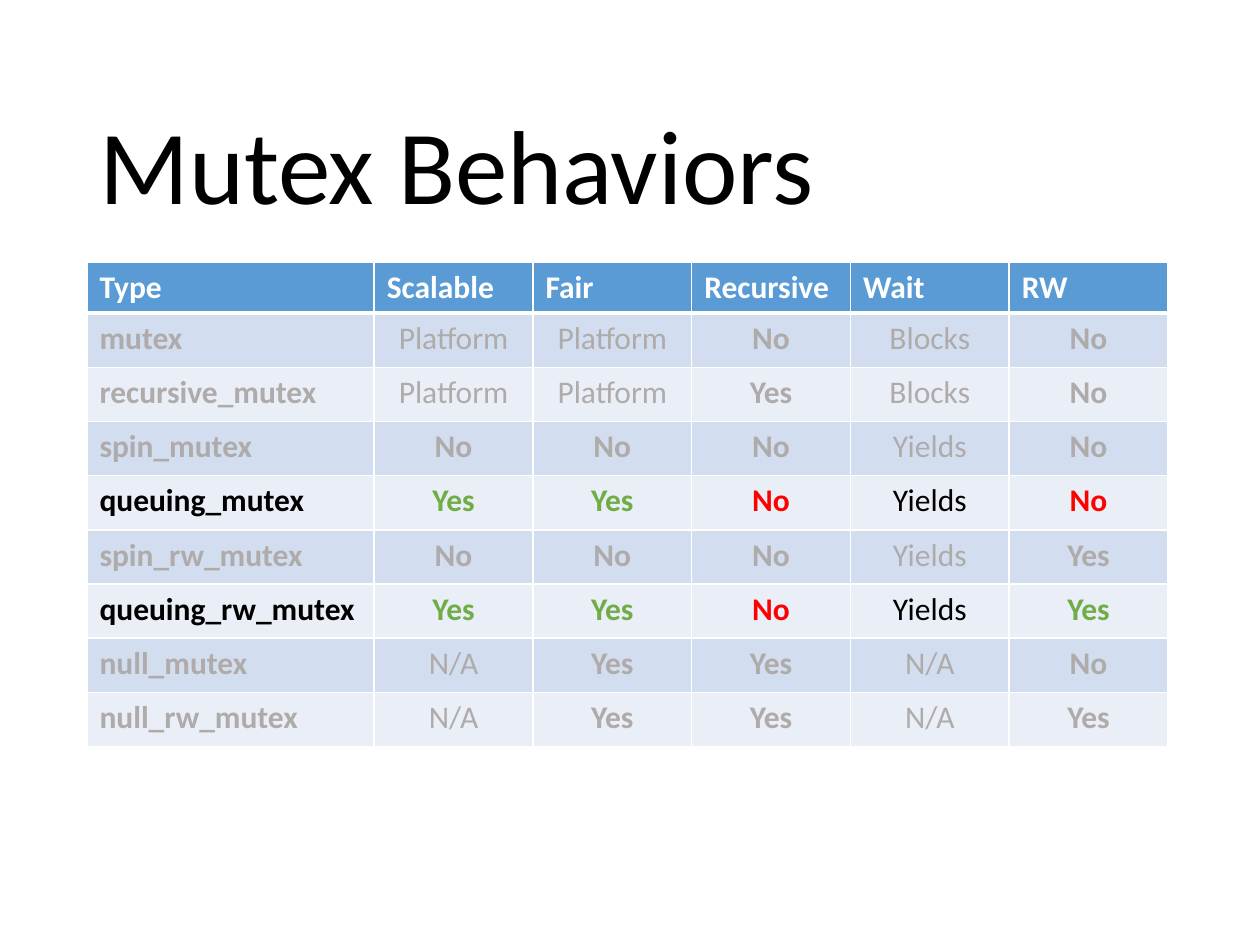
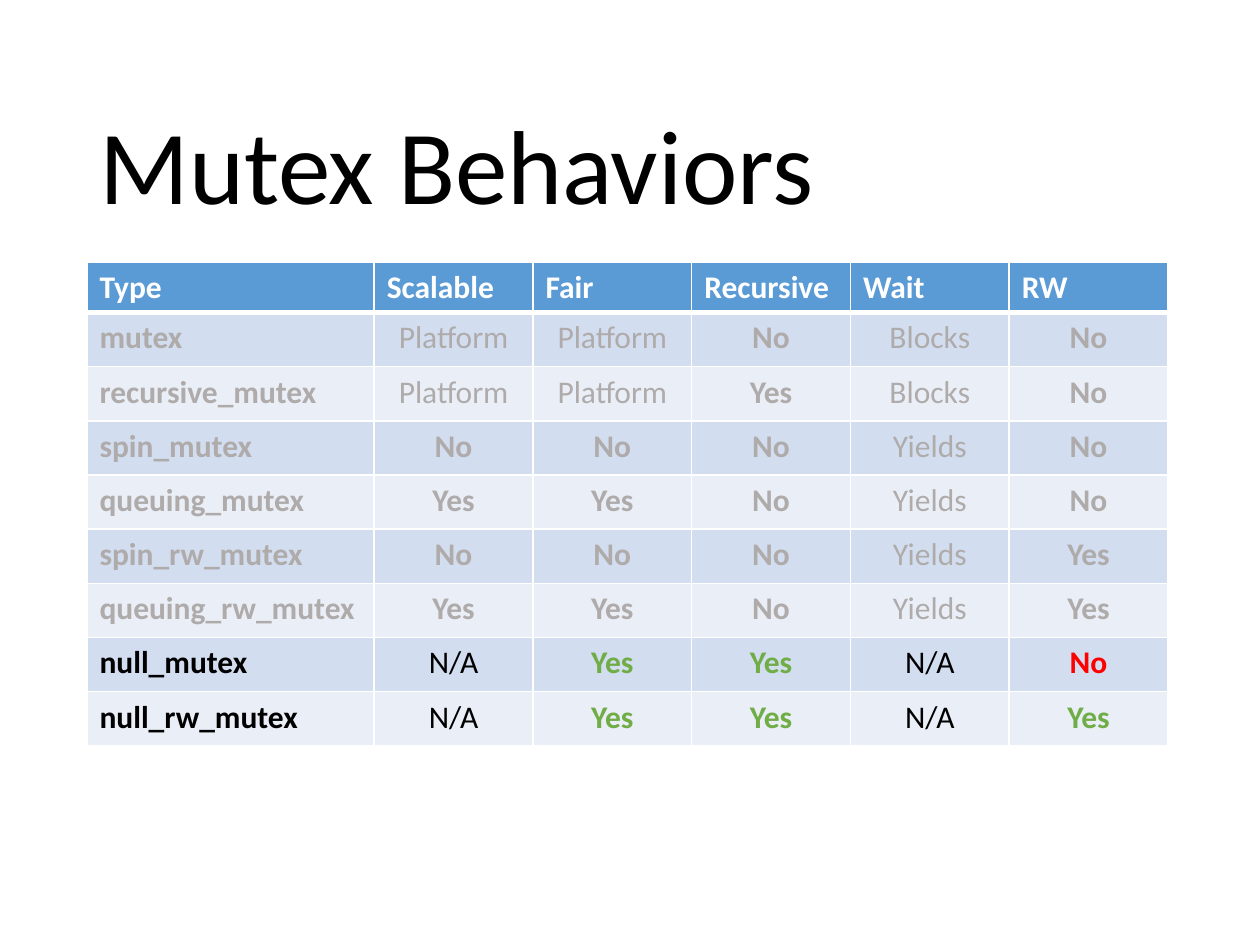
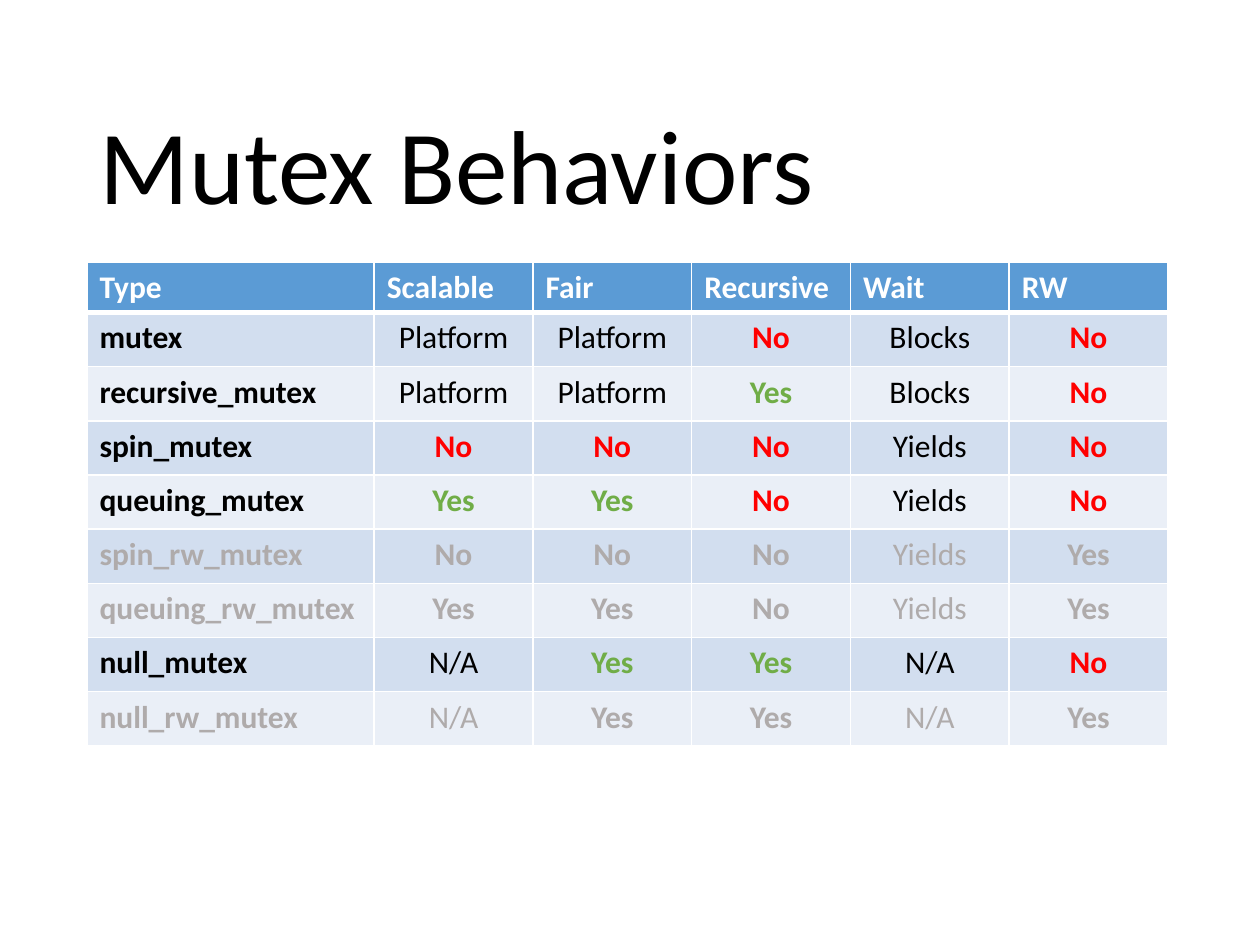
from lxml.etree import SubElement
from pptx import Presentation
from pptx.dml.color import RGBColor
from pptx.enum.text import MSO_ANCHOR, PP_ALIGN
from pptx.oxml.ns import qn
from pptx.util import Inches, Pt

FONT = "Calibri"
WHITE = RGBColor(0xFF, 0xFF, 0xFF)
BLACK = RGBColor(0x00, 0x00, 0x00)
GREY = RGBColor(0xAF, 0xAB, 0xAB)
GREEN = RGBColor(0x70, 0xAD, 0x47)
RED = RGBColor(0xFF, 0x00, 0x00)
HEADER_BLUE = RGBColor(0x5B, 0x9B, 0xD5)
BANDS = (RGBColor(0xD2, 0xDE, 0xEF), RGBColor(0xEA, 0xEF, 0xF7))
ANSWER_COLORS = {"Yes": GREEN, "No": RED}

SLIDE_WIDTH, SLIDE_HEIGHT = Inches(10), Inches(7.5)
LEFT = Inches(0.69)
TYPE_WIDTH, TRAIT_WIDTH = Inches(2.28), Inches(1.26)
HEADER_HEIGHT, ROW_HEIGHT = Inches(0.38), Inches(0.43)
THIN, THICK = Pt(1), Pt(3)

TITLE = "Mutex Behaviors"
HEADINGS = ("Type", "Scalable", "Fair", "Recursive", "Wait", "RW")
MUTEXES = (
    ("mutex", "Platform", "Platform", "No", "Blocks", "No"),
    ("recursive_mutex", "Platform", "Platform", "Yes", "Blocks", "No"),
    ("spin_mutex", "No", "No", "No", "Yields", "No"),
    ("queuing_mutex", "Yes", "Yes", "No", "Yields", "No"),
    ("spin_rw_mutex", "No", "No", "No", "Yields", "Yes"),
    ("queuing_rw_mutex", "Yes", "Yes", "No", "Yields", "Yes"),
    ("null_mutex", "N/A", "Yes", "Yes", "N/A", "No"),
    ("null_rw_mutex", "N/A", "Yes", "Yes", "N/A", "Yes"),
)
HIGHLIGHTS = (
    {"queuing_mutex", "queuing_rw_mutex"},
    {"null_mutex", "null_rw_mutex"},
    {"mutex", "recursive_mutex", "spin_mutex", "queuing_mutex", "null_mutex"},
)


def set_font(paragraph, size, color, bold=False):
    """Apply the shared typeface with a size, colour and weight."""
    font = paragraph.font
    font.name, font.size, font.bold = FONT, Pt(size), bold
    font.color.rgb = color


def add_title(slide):
    """Add the slide title, resting on the bottom of its box."""
    box = slide.shapes.add_textbox(LEFT, Inches(0.4), SLIDE_WIDTH - 2 * LEFT, Inches(1.45))
    frame = box.text_frame
    frame.word_wrap = True
    frame.vertical_anchor = MSO_ANCHOR.BOTTOM
    paragraph = frame.paragraphs[0]
    paragraph.text = TITLE
    paragraph.line_spacing = 0.9
    set_font(paragraph, 60, BLACK)


def set_borders(cell, top, bottom):
    """Draw white borders around a cell."""
    properties = cell._tc.get_or_add_tcPr()
    widths = {"a:lnL": THIN, "a:lnR": THIN, "a:lnT": top, "a:lnB": bottom}
    for tag, width in widths.items():
        line = SubElement(properties, qn(tag), w=str(width))
        fill = SubElement(line, qn("a:solidFill"))
        SubElement(fill, qn("a:srgbClr"), val=str(WHITE))


def fill_cell(cell, text, fill, color, bold, alignment=None, top=THIN, bottom=THIN):
    """Write and style one table cell."""
    set_borders(cell, top, bottom)
    cell.fill.solid()
    cell.fill.fore_color.rgb = fill
    paragraph = cell.text_frame.paragraphs[0]
    paragraph.text = text
    paragraph.alignment = alignment
    set_font(paragraph, 18, color, bold)


def fill_mutex_row(table, row, mutex, highlighted):
    """Fill one mutex row, greyed out unless highlighted."""
    for column, text in enumerate(mutex):
        fill_cell(
            table.cell(row, column),
            text,
            BANDS[(row - 1) % 2],
            ANSWER_COLORS.get(text, BLACK) if highlighted else GREY,
            bold=column == 0 or text in ANSWER_COLORS,
            alignment=PP_ALIGN.CENTER if column else None,
            top=THICK if row == 1 else THIN,
        )


def add_mutex_table(slide, highlights):
    """Add the behavior table with the named mutexes highlighted."""
    width = TYPE_WIDTH + TRAIT_WIDTH * (len(HEADINGS) - 1)
    height = HEADER_HEIGHT + ROW_HEIGHT * len(MUTEXES)
    frame = slide.shapes.add_table(
        len(MUTEXES) + 1, len(HEADINGS), LEFT, Inches(2.08), width, height
    )
    table = frame.table
    table.first_row = table.horz_banding = False
    for index, column in enumerate(table.columns):
        column.width = TRAIT_WIDTH if index else TYPE_WIDTH
    for index, row in enumerate(table.rows):
        row.height = ROW_HEIGHT if index else HEADER_HEIGHT
    for column, heading in enumerate(HEADINGS):
        fill_cell(table.cell(0, column), heading, HEADER_BLUE, WHITE, True, bottom=THICK)
    for row, mutex in enumerate(MUTEXES, start=1):
        fill_mutex_row(table, row, mutex, mutex[0] in highlights)


def main():
    """Build one slide for each set of highlighted mutexes."""
    presentation = Presentation()
    presentation.slide_width, presentation.slide_height = SLIDE_WIDTH, SLIDE_HEIGHT
    for highlights in HIGHLIGHTS:
        slide = presentation.slides.add_slide(presentation.slide_layouts[6])
        add_mutex_table(slide, highlights)
        add_title(slide)
    presentation.save("out.pptx")


if __name__ == "__main__":
    main()
